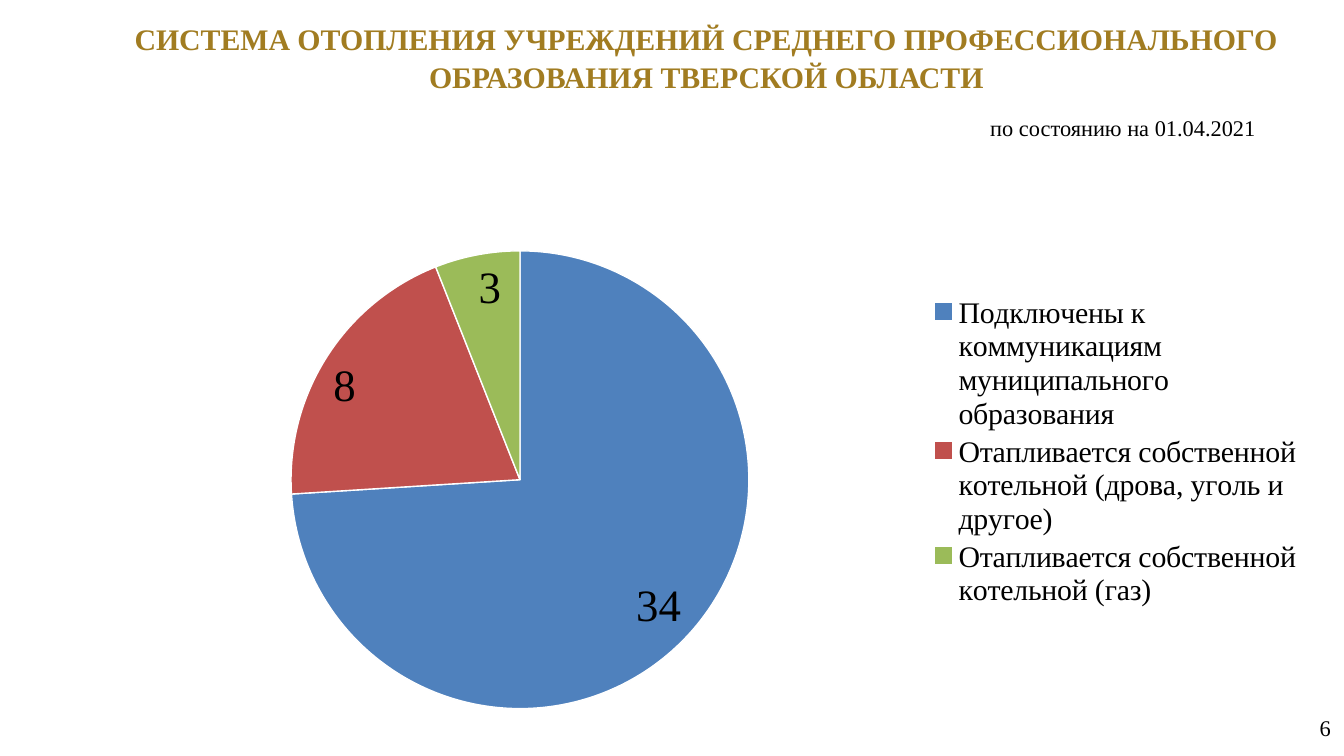
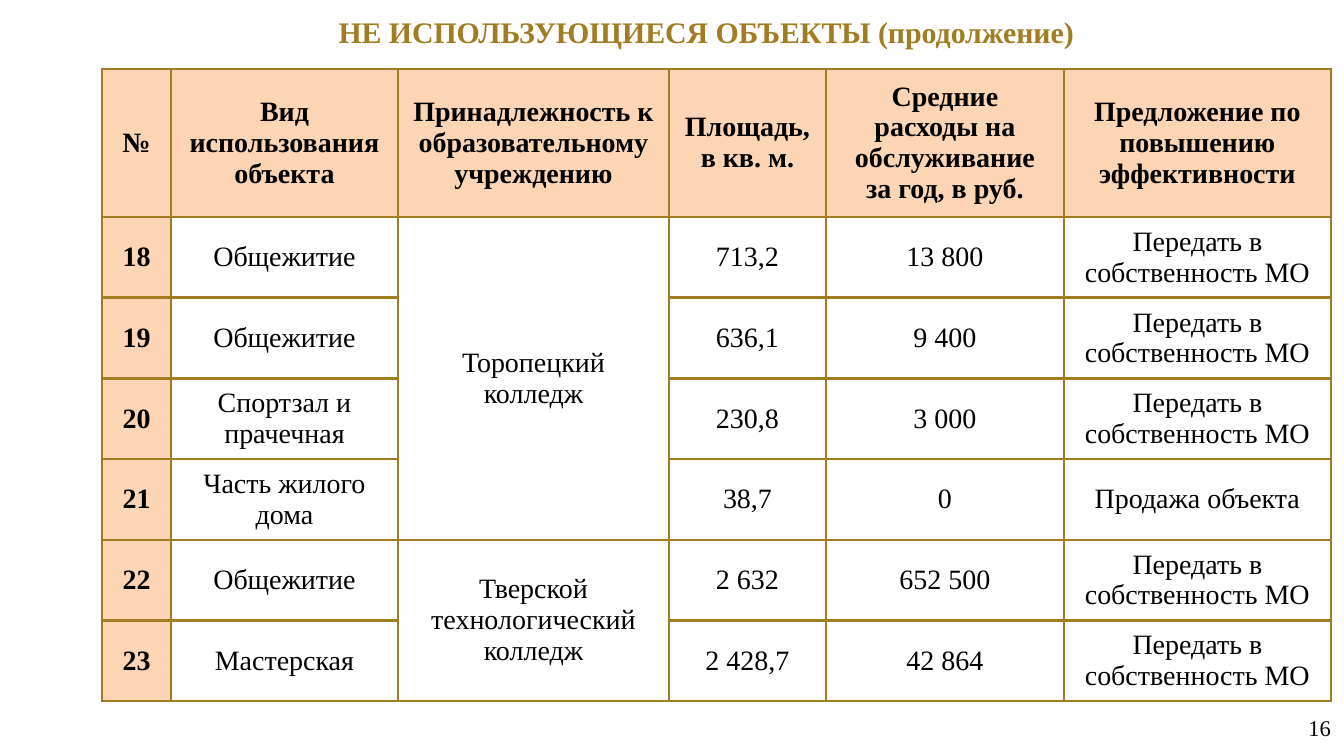
from lxml.etree import SubElement
from pptx import Presentation
from pptx.chart.data import CategoryChartData
from pptx.dml.color import RGBColor
from pptx.enum.chart import XL_CHART_TYPE, XL_LABEL_POSITION, XL_LEGEND_POSITION
from pptx.enum.text import MSO_ANCHOR, MSO_AUTO_SIZE, PP_ALIGN
from pptx.oxml import parse_xml
from pptx.oxml.ns import nsdecls, qn
from pptx.util import Pt

SCALE = 9144000 / 1344
FONT = "Times New Roman"
COLORS = {
    "gold": "A17C21", "peach": "FCD5B5", "black": "000000", "white": "FFFFFF",
    "blue": "4F81BD", "red": "C0504D", "green": "9BBB59",
}

HEATING_TITLE = "СИСТЕМА ОТОПЛЕНИЯ УЧРЕЖДЕНИЙ СРЕДНЕГО ПРОФЕССИОНАЛЬНОГО ОБРАЗОВАНИЯ ТВЕРСКОЙ ОБЛАСТИ"
HEATING_DATE = "по состоянию на 01.04.2021"
HEATING = [
    ("Подключены к коммуникациям муниципального образования", 74, "34", "blue"),
    ("Отапливается собственной котельной (дрова, уголь и другое)", 20, "8", "red"),
    ("Отапливается собственной котельной (газ)", 6, "3", "green"),
]

UNUSED_TITLE = "НЕ ИСПОЛЬЗУЮЩИЕСЯ ОБЪЕКТЫ (продолжение)"
HEADER = [
    "№", "Вид использования объекта", "Принадлежность к образовательному учреждению",
    "Площадь, в кв. м.", "Средние расходы на обслуживание за год, в руб.",
    "Предложение по повышению эффективности",
]
TRANSFER = "Передать в собственность МО"
OBJECTS = [
    ("18", "Общежитие", "Торопецкий колледж", "713,2", "13 800", TRANSFER),
    ("19", "Общежитие", "", "636,1", "9 400", TRANSFER),
    ("20", "Спортзал и прачечная", "", "230,8", "3 000", TRANSFER),
    ("21", "Часть жилого дома", "", "38,7", "0", "Продажа объекта"),
    ("22", "Общежитие", "Тверской технологический колледж", "2 632", "652 500", TRANSFER),
    ("23", "Мастерская", "", "2 428,7", "42 864", TRANSFER),
]
OWNER_COLUMN = 2
OWNER_SPANS = [(1, 4), (5, 6)]
COLUMN_WIDTHS = [69, 227, 271, 157, 238, 267]
TABLE_BOX = (102, 69, sum(COLUMN_WIDTHS), 632)
HEADER_HEIGHT = 148

CHART_BOX = (122, 176, 1188, 551)
PIE_BOX = (291, 251, 458, 458)
LEGEND_BOX = (920, 292, 390, 320)


def px(value):
    return round(value * SCALE)


def emu(box):
    return [px(value) for value in box]


def rgb(name):
    return RGBColor.from_string(COLORS[name])


def style_font(font, size, color="black", bold=False):
    font.name = FONT
    font.size = Pt(size)
    font.bold = bold
    font.color.rgb = rgb(color)


def write(frame, text, size, align, color="black", bold=False):
    frame.text = text
    frame.word_wrap = True
    para = frame.paragraphs[0]
    para.alignment = align
    for span in para.runs:
        style_font(span.font, size, color, bold)
    return para


def add_text(page, text, box, align, anchor):
    frame = page.shapes.add_textbox(*emu(box)).text_frame
    write(frame, text, 12, align)
    frame.vertical_anchor = anchor


def add_page(deck, title, title_top, number):
    page = deck.slides.add_slide(deck.slide_layouts[5])
    heading = page.shapes.title
    heading.left, heading.top, heading.width, heading.height = emu((103, title_top, 1207, 103))
    frame = heading.text_frame
    frame.auto_size = MSO_AUTO_SIZE.NONE
    frame.vertical_anchor = MSO_ANCHOR.TOP
    write(frame, title, 16, PP_ALIGN.CENTER, "gold", True).line_spacing = 1.07
    add_text(page, number, (1031, 702, 313, 52), PP_ALIGN.RIGHT, MSO_ANCHOR.MIDDLE)
    return page


def place_in_chart(element, index, box):
    for old in element.findall(qn("c:layout")):
        element.remove(old)
    layout = parse_xml(f"<c:layout {nsdecls('c')}/>")
    manual = SubElement(layout, qn("c:manualLayout"))
    left, top, width, height = CHART_BOX
    settings = {
        "xMode": "edge", "yMode": "edge",
        "x": (box[0] - left) / width, "y": (box[1] - top) / height,
        "w": box[2] / width, "h": box[3] / height,
    }
    if element.tag == qn("c:plotArea"):
        settings = {"layoutTarget": "inner", **settings}
    for name, value in settings.items():
        text = value if isinstance(value, str) else f"{value:.3f}"
        SubElement(manual, qn(f"c:{name}")).set("val", text)
    element.insert(index, layout)


def add_heating_chart(page):
    data = CategoryChartData(number_format="0")
    data.categories = [name for name, *_ in HEATING]
    data.add_series("Series 1", [share for _, share, *_ in HEATING])
    chart = page.shapes.add_chart(XL_CHART_TYPE.PIE, *emu(CHART_BOX), data).chart
    chart.has_title = False
    chart.font.name = "Arial"
    chart.font.size = Pt(10)
    chart.font.color.rgb = rgb("black")
    chart.has_legend = True
    legend = chart.legend
    legend.position = XL_LEGEND_POSITION.RIGHT
    legend.include_in_layout = False
    style_font(legend.font, 16)

    plot = chart.plots[0]
    plot.vary_by_categories = True
    plot.has_data_labels = True
    labels = plot.data_labels
    labels.show_percentage = True
    labels.show_value = False
    labels.number_format = "0%"
    labels.number_format_is_linked = False
    labels.position = XL_LABEL_POSITION.INSIDE_END
    style_font(labels.font, 24, bold=True)
    for index, (_, _, count, color) in enumerate(HEATING):
        point = plot.series[0].points[index]
        point.format.fill.solid()
        point.format.fill.fore_color.rgb = rgb(color)
        point.format.line.color.rgb = rgb("white")
        point.format.line.width = Pt(0.75)
        label = point.data_label
        write(label.text_frame, count, 24, PP_ALIGN.CENTER)
        label.position = XL_LABEL_POSITION.INSIDE_END

    plot_area = chart.element.find(".//" + qn("c:plotArea"))
    place_in_chart(plot_area, 0, PIE_BOX)
    place_in_chart(chart.element.find(".//" + qn("c:legend")), 1, LEGEND_BOX)


def add_borders(cell):
    properties = cell._tc.get_or_add_tcPr()
    for index, side in enumerate(("lnL", "lnR", "lnT", "lnB")):
        properties.insert(index, parse_xml(
            f'<a:{side} {nsdecls("a")} w="{Pt(1.5)}"><a:solidFill>'
            f'<a:srgbClr val="{COLORS["gold"]}"/></a:solidFill></a:{side}>'
        ))


def add_objects_table(page):
    rows = [HEADER, *OBJECTS]
    table = page.shapes.add_table(len(rows), len(HEADER), *emu(TABLE_BOX)).table
    table.first_row = table.horz_banding = False
    for column, width in zip(table.columns, COLUMN_WIDTHS):
        column.width = px(width)
    body_height = (TABLE_BOX[3] - HEADER_HEIGHT) / len(OBJECTS)
    for i, texts in enumerate(rows):
        table.rows[i].height = px(body_height if i else HEADER_HEIGHT)
        for j, text in enumerate(texts):
            cell = table.cell(i, j)
            strong = i == 0 or j == 0
            write(cell.text_frame, text, 15, PP_ALIGN.CENTER, bold=strong)
            cell.vertical_anchor = MSO_ANCHOR.MIDDLE
            if strong:
                cell.fill.solid()
                cell.fill.fore_color.rgb = rgb("peach")
            else:
                cell.fill.background()
            add_borders(cell)
    for first, last in OWNER_SPANS:
        table.cell(first, OWNER_COLUMN).merge(table.cell(last, OWNER_COLUMN))


def main():
    deck = Presentation()
    deck.slide_width, deck.slide_height = px(1344), px(756)
    heating = add_page(deck, HEATING_TITLE, 11, "6")
    add_text(heating, HEATING_DATE, (922, 108, 402, 40), PP_ALIGN.CENTER, MSO_ANCHOR.TOP)
    add_heating_chart(heating)
    unused = add_page(deck, UNUSED_TITLE, 4, "16")
    add_objects_table(unused)
    deck.save("out.pptx")


if __name__ == "__main__":
    main()
